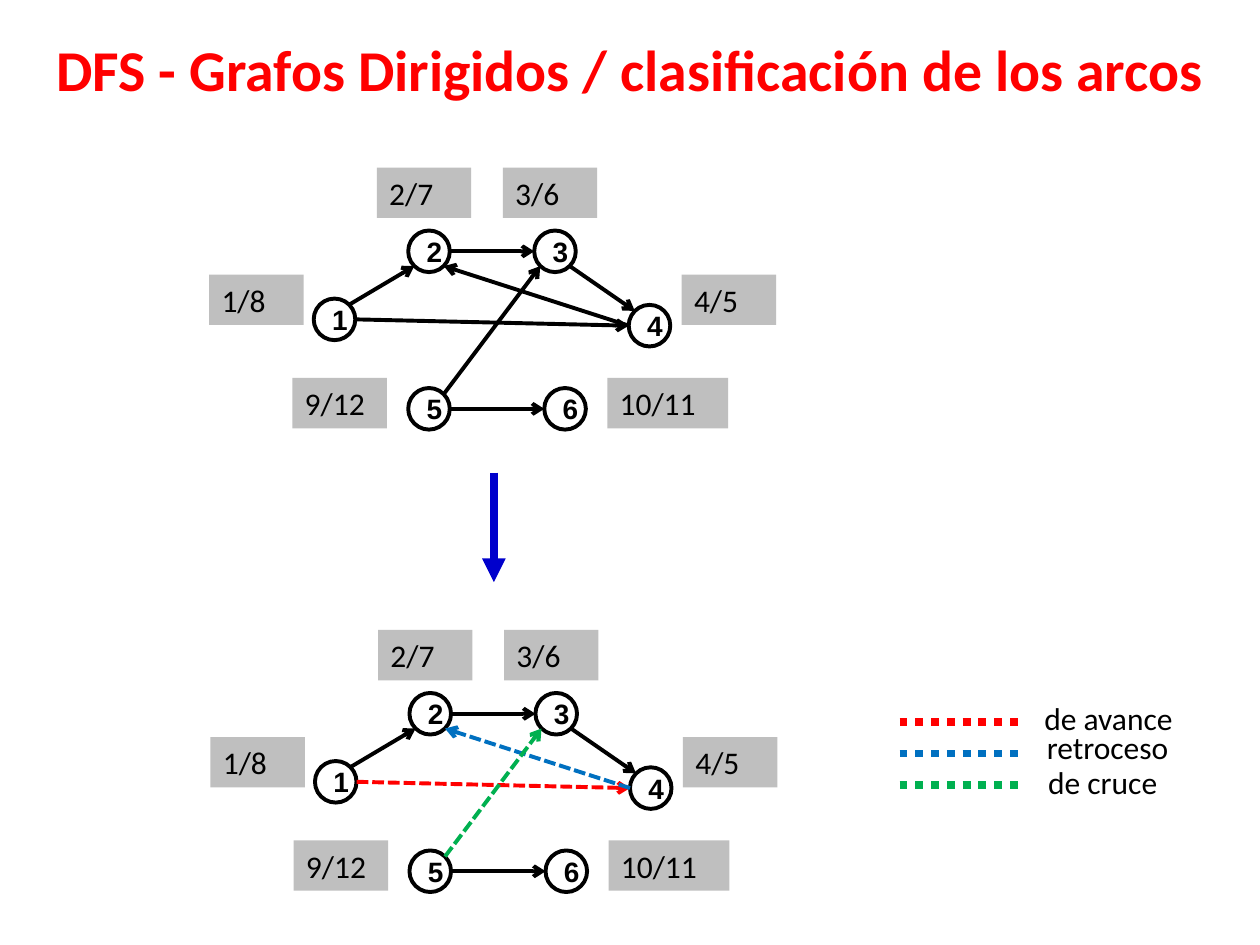
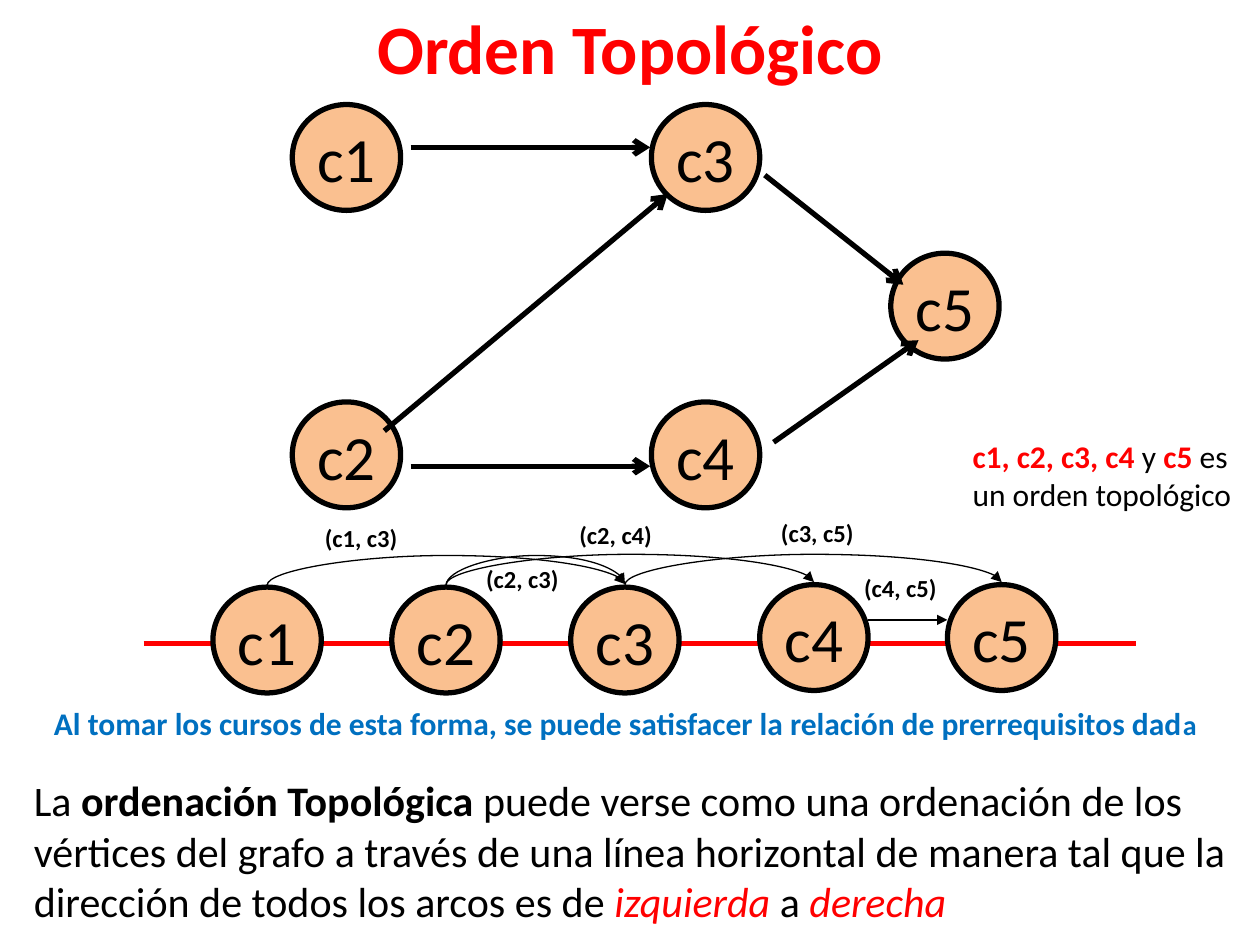
import pptx
import pptx.dml.color
import pptx.enum.dml
import pptx.enum.shapes
import pptx.enum.text
import pptx.oxml
import pptx.oxml.ns
import pptx.util
from pptx.util import Inches

BLACK, RED, BLUE, GREEN = "000000", "FF0000", "0070C0", "00B050"
ARROW_BLUE, TAG_GRAY, COURSE_FILL = "0000CC", "BFBFBF", "FAC090"
FONT = "Calibri"
DASH = pptx.enum.dml.MSO_LINE.SQUARE_DOT
DOT = pptx.enum.dml.MSO_LINE.ROUND_DOT
CENTER = pptx.enum.text.PP_ALIGN.CENTER
MIDDLE = pptx.enum.text.MSO_ANCHOR.MIDDLE
OVAL = pptx.enum.shapes.MSO_SHAPE.OVAL
CONNECTOR = pptx.enum.shapes.MSO_CONNECTOR

# Directed graph: vertex corners, visit times (left, top, width, text), arcs
VERTEX_SIZE = 0.33
VERTICES = {1: (2.49, 2.37), 2: (3.24, 1.83), 3: (4.24, 1.83),
            4: (4.99, 2.42), 5: (3.24, 3.08), 6: (4.32, 3.08)}
VISIT_TIMES = [(1.66, 2.18, 0.75, "1/8"), (2.99, 1.33, 0.75, "2/7"),
               (3.99, 1.33, 0.75, "3/6"), (5.41, 2.18, 0.75, "4/5"),
               (2.32, 3, 0.75, "9/12"), (4.82, 3, 0.96, "10/11")]
ARCS = [(1, "NE", 2, "SW"), (2, "E", 3, "W"), (3, "SE", 4, "NW"),
        (1, "E", 4, "W"), (4, "W", 2, "SE"), (5, "NE", 3, "SW"),
        (5, "E", 6, "W")]
ARC_KINDS = {(1, 4): RED, (4, 2): BLUE, (5, 3): GREEN}
SIDES = {"E": (1, 0), "W": (-1, 0), "NE": (0.71, -0.71),
         "NW": (-0.71, -0.71), "SE": (0.71, 0.71), "SW": (-0.71, 0.71)}

# Course graph and its topological line
COURSE_WIDTH, COURSE_HEIGHT = 0.86, 0.84
COURSES = {"c5": (7.07, 2.01), "c4": (5.17, 3.19), "c3": (5.17, 0.83),
           "c1": (2.32, 0.83), "c2": (2.32, 3.19)}
COURSE_ARCS = [((3.26, 3.7), (5.16, 3.7)), ((3.26, 1.17), (5.16, 1.17)),
               ((6.14, 3.51), (7.29, 2.7)), ((6.07, 1.39), (7.17, 2.26)),
               ((3.05, 3.42), (5.3, 1.54))]
ORDER = {"c1": (1.69, 4.66), "c2": (3.11, 4.66), "c3": (4.53, 4.66),
         "c4": (6.03, 4.64), "c5": (7.52, 4.64)}
ORDER_CURVES = [("c3", "c5"), ("c2", "c4"), ("c2", "c3"), ("c1", "c3")]
ARC_LABELS = [(2.48, 4.1, "(c1, c3)"), (3.76, 4.43, "(c2, c3)"),
              (4.5, 4.08, "(c2, c4)"), (6.1, 4.06, "(c3, c5)"),
              (6.76, 4.5, "(c4, c5)")]


def rgb(value):
    return pptx.dml.color.RGBColor.from_string(value)


def style_font(font, size, color=BLACK, bold=False, name=FONT):
    font.name = name
    font.size = pptx.util.Pt(size)
    font.color.rgb = rgb(color)
    font.bold = bold


def add_title(page, text, top, size):
    title = page.shapes.title
    title.left, title.top = Inches(0.25), Inches(top)
    title.width, title.height = Inches(9.5), Inches(0.75)
    title.text_frame.text = text
    title.text_frame.vertical_anchor = MIDDLE
    title.text_frame.auto_size = pptx.enum.text.MSO_AUTO_SIZE.NONE
    para = title.text_frame.paragraphs[0]
    para.alignment = CENTER
    style_font(para.font, size, RED, bold=True)


def add_text(page, place, spans, size, color=BLACK, bold=False, fill=None):
    """spans is a string or a list of (text, font settings)."""
    box = page.shapes.add_textbox(*map(Inches, place))
    box.text_frame.word_wrap = True
    if fill:
        box.fill.solid()
        box.fill.fore_color.rgb = rgb(fill)
    para = box.text_frame.paragraphs[0]
    style_font(para.font, size, color, bold)
    for text, look in [(spans, {})] if isinstance(spans, str) else spans:
        span = para.add_run()
        span.text = text
        if "color" in look:
            span.font.color.rgb = rgb(look["color"])
        if "size" in look:
            span.font.size = pptx.util.Pt(look["size"])
        if "bold" in look:
            span.font.bold = look["bold"]
        if "italic" in look:
            span.font.italic = look["italic"]


def add_circle(page, place, text, size, line_width, fill=None, font=FONT,
               bold=False, wrap=True):
    circle = page.shapes.add_shape(OVAL, *map(Inches, place))
    circle.shadow.inherit = False
    if fill:
        circle.fill.solid()
        circle.fill.fore_color.rgb = rgb(fill)
    else:
        circle.fill.background()
    circle.line.color.rgb = rgb(BLACK)
    circle.line.width = pptx.util.Pt(line_width)
    circle.text_frame.text = text
    circle.text_frame.word_wrap = wrap
    circle.text_frame.vertical_anchor = MIDDLE
    para = circle.text_frame.paragraphs[0]
    para.alignment = CENTER
    style_font(para.font, size, bold=bold, name=font)


def add_line(page, start, end, width, color=BLACK, head=None, dash=None,
             kind=CONNECTOR.STRAIGHT):
    line = page.shapes.add_connector(kind, *map(Inches, (*start, *end)))
    line.line.color.rgb = rgb(color)
    line.line.width = pptx.util.Pt(width)
    if dash:
        line.line.dash_style = dash
    properties = line._element.spPr
    if head:
        tail = pptx.oxml.ns.qn("a:tailEnd")
        line.line._get_or_add_ln().append(
            properties.makeelement(tail, {"type": head}))
    properties.append(
        properties.makeelement(pptx.oxml.ns.qn("a:effectLst"), {}))
    return line


def add_arch(page, start, end, lift=0.24):
    """Curve that leaves upwards and lands from above."""
    rise = max(start[1] - end[1], 0.01)
    span = end[0] - start[0]
    middle_x, middle_y = (start[0] + end[0]) / 2, (start[1] + end[1]) / 2
    arch = add_line(page, (middle_x - rise / 2, middle_y - span / 2),
                    (middle_x + rise / 2, middle_y + span / 2), 0.75,
                    head="triangle", kind=CONNECTOR.CURVE)
    properties = arch._element.spPr
    properties.find(pptx.oxml.ns.qn("a:xfrm")).set("rot", str(270 * 60000))
    guides = properties.find(".//" + pptx.oxml.ns.qn("a:avLst"))
    guides.append(guides.makeelement(pptx.oxml.ns.qn("a:gd"), {
        "name": "adj1", "fmla": f"val {round(lift / rise * 100000)}"}))


def add_graph(page, shift_x, shift_y, arc_kinds):
    radius = VERTEX_SIZE / 2

    def edge_point(vertex, side):
        return [corner + shift + radius * (1 + toward) for corner, shift, toward
                in zip(VERTICES[vertex], (shift_x, shift_y), SIDES[side])]

    for number, (left, top) in VERTICES.items():
        place = (left + shift_x, top + shift_y, VERTEX_SIZE, VERTEX_SIZE)
        add_circle(page, place, str(number), 16, 2.25, font="Arial", bold=True)
    for source, leave, target, arrive in ARCS:
        color = arc_kinds.get((source, target))
        add_line(page, edge_point(source, leave), edge_point(target, arrive),
                 2.25, color or BLACK, "arrow", DASH if color else None)
    for left, top, width, text in VISIT_TIMES:
        add_text(page, (left + shift_x, top + shift_y, width, 0.4), text, 18,
                 fill=TAG_GRAY)


def add_courses(page, courses):
    for name, corner in courses.items():
        add_circle(page, (*corner, COURSE_WIDTH, COURSE_HEIGHT), name, 36, 3,
                   fill=COURSE_FILL, wrap=False)


def build_arc_page(page):
    add_title(page, "DFS - Grafos Dirigidos / clasificación de los arcos",
              0.17, 33)
    add_line(page, (3.92, 3.75), (3.92, 4.62), 4.5, ARROW_BLUE, "triangle")
    add_graph(page, 0, 0, {})
    add_graph(page, 0.01, 3.67, ARC_KINDS)

    # Legend
    legend = [("de avance", RED, 8.19, 5.5), ("retroceso", BLUE, 8.21, 5.73),
              ("de cruce", GREEN, 8.22, 6.01)]
    for row, (text, color, left, top) in enumerate(legend):
        y = 5.73 + 0.25 * row
        add_line(page, (7.14, y), (8.1, y), 4.5, color, dash=DOT)
        add_text(page, (left, top, 1.78, 0.4), text, 18)


def build_order_page(page):
    add_title(page, "Orden Topológico", 0, 39.6)

    # Courses on the line, with arcs from left to right
    add_line(page, (1.14, 5.11), (9.02, 5.11), 3, RED)
    add_courses(page, ORDER)
    add_line(page, (6.89, 4.92), (7.52, 4.92), 0.75, head="triangle")
    for source, target in ORDER_CURVES:
        start, end = [(ORDER[name][0] + COURSE_WIDTH / 2, ORDER[name][1] - 0.02)
                      for name in (source, target)]
        add_arch(page, start, end)
    for left, top, text in ARC_LABELS:
        add_text(page, (left, top, 1.73, 0.33), text, 14, bold=True)

    # Course graph
    add_courses(page, COURSES)
    for start, end in COURSE_ARCS:
        add_line(page, start, end, 3, head="arrow")

    # Explanations
    strong = {"color": RED, "bold": True}
    accent = {"color": RED, "italic": True}
    add_text(page, (7.62, 3.42, 2.38, 1.01), [
        ("c1, c2, c3, c4", strong), (" y ", {}), ("c5", strong),
        (" es un orden topológico", {})], 18)
    add_text(page, (0.33, 5.54, 9.86, 0.71), [
        ("Al tomar los cursos de esta forma, se puede satisfacer la relación "
         "de prerrequisitos dad", {}), ("a", {"size": 16})], 18, BLUE, True)
    add_text(page, (0.17, 6.1, 9.69, 1.31), [
        ("La ", {}), ("ordenación Topológica ", {"bold": True}),
        ("puede verse como una ordenación de los vértices del grafo a través "
         "de una línea horizontal de manera tal que la dirección de todos los "
         "arcos es de ", {}),
        ("izquierda ", accent), ("a ", {}), ("derecha", accent)], 24)


def main():
    deck = pptx.Presentation()
    deck.slide_width, deck.slide_height = Inches(10), Inches(7.5)
    title_only = deck.slide_layouts[5]
    for build in (build_arc_page, build_order_page):
        build(deck.slides.add_slide(title_only))
    deck.save("out.pptx")


if __name__ == "__main__":
    main()
